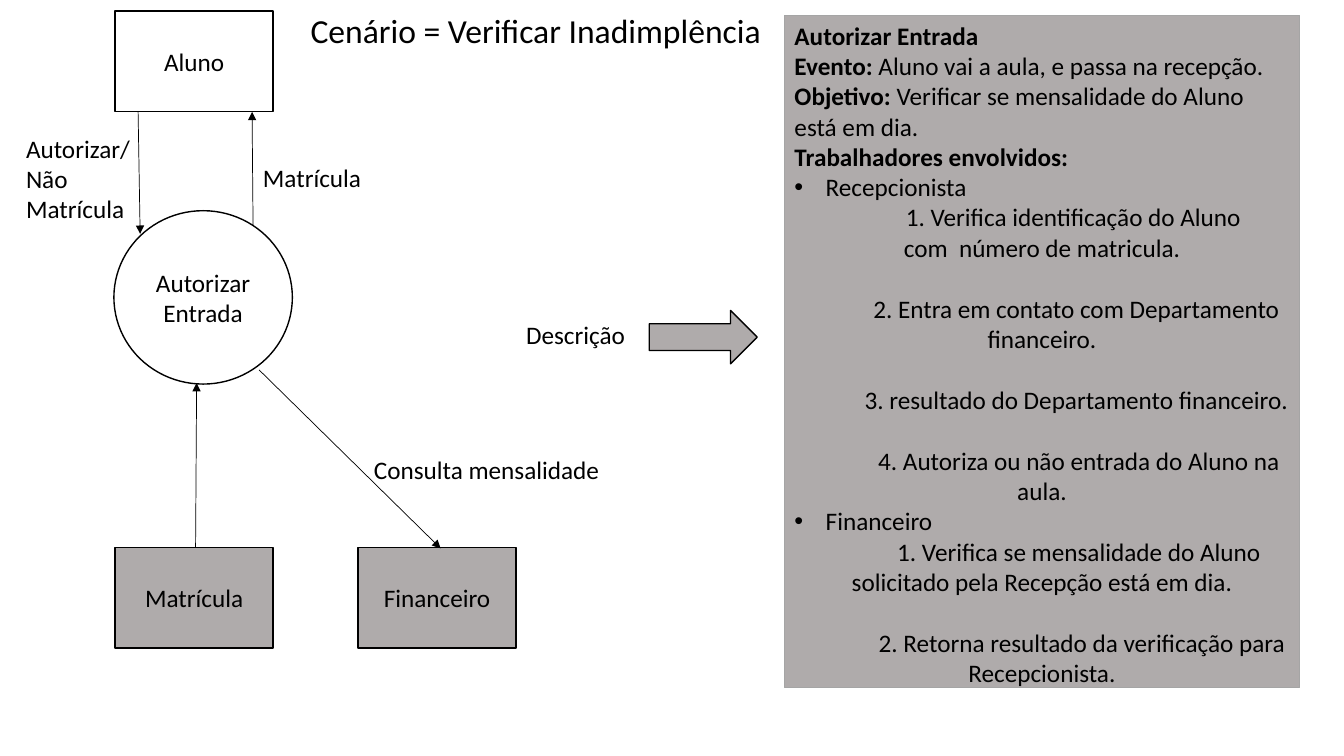
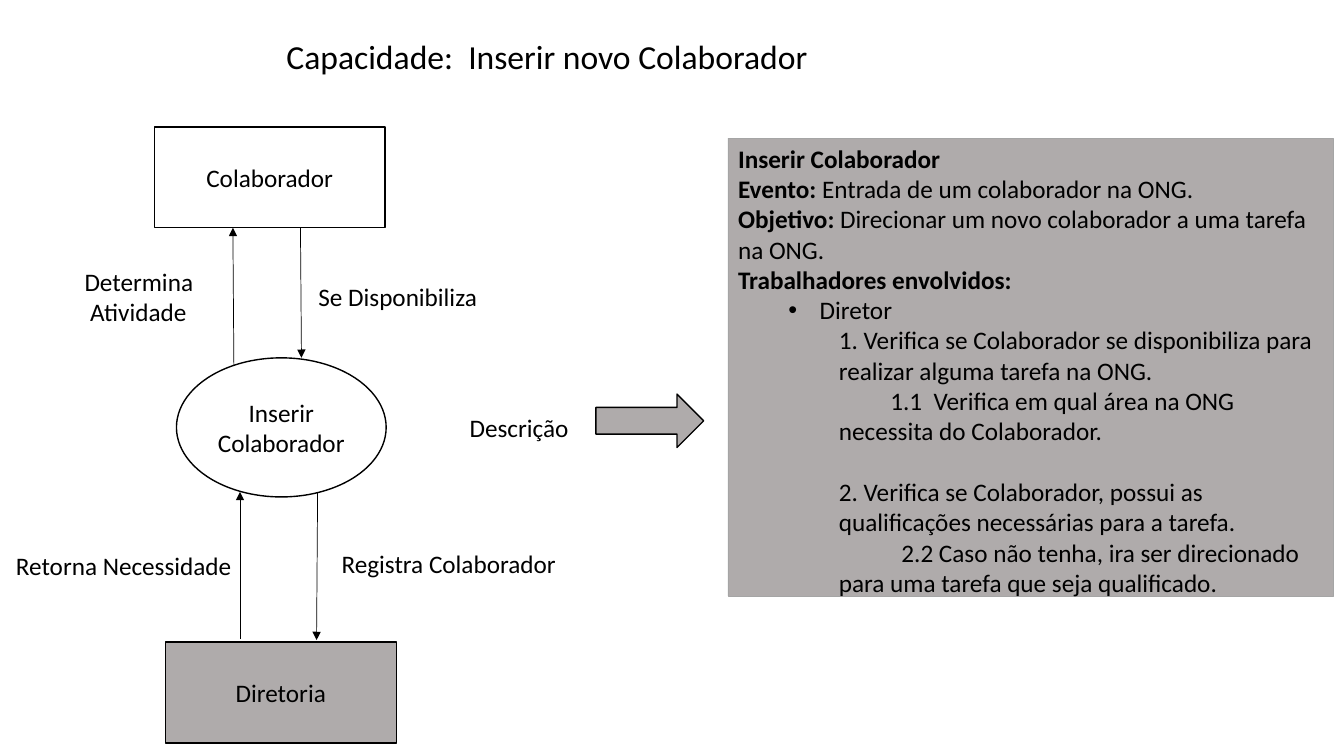
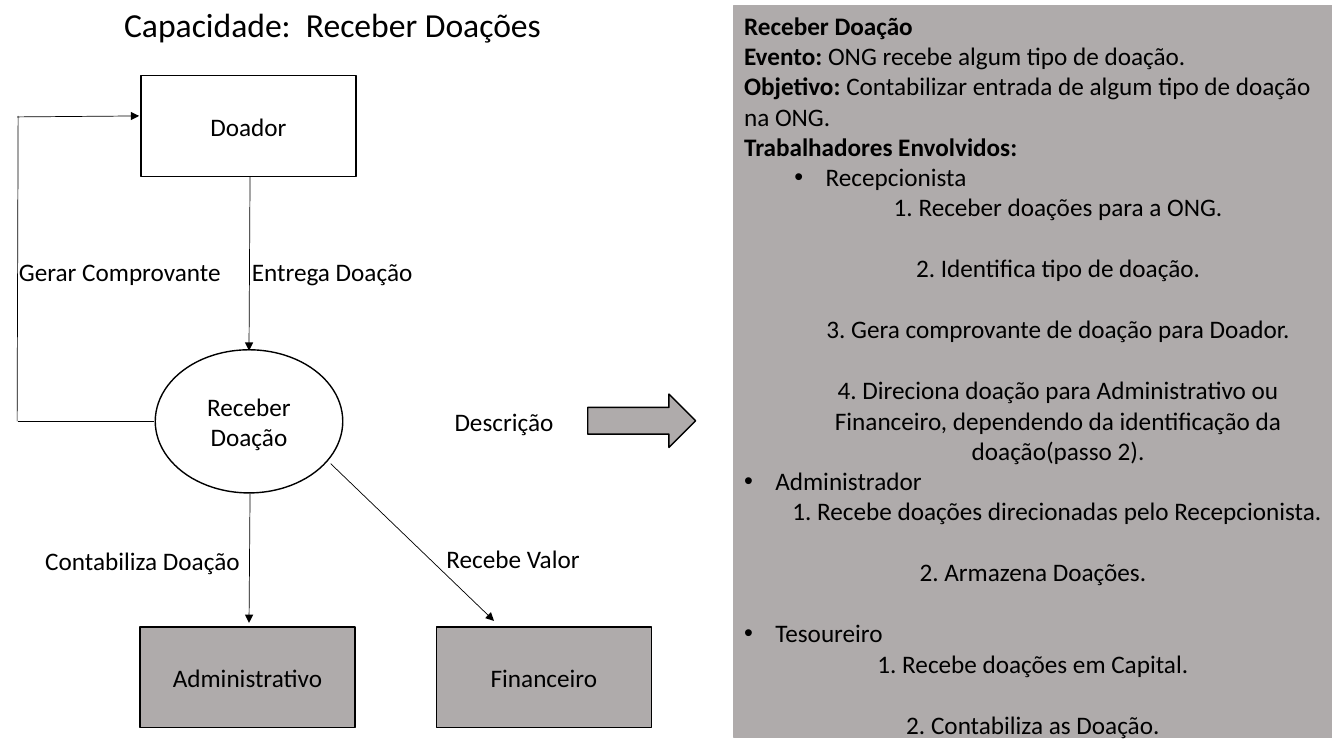
"""Build three process slides: a flow diagram beside its description panel."""
from lxml import etree
from pptx import Presentation
from pptx.dml.color import RGBColor
from pptx.enum.shapes import MSO_CONNECTOR, MSO_SHAPE
from pptx.enum.text import MSO_ANCHOR, MSO_AUTO_SIZE, PP_ALIGN
from pptx.oxml.ns import qn
from pptx.util import Inches, Pt

BLACK = RGBColor(0x00, 0x00, 0x00)
WHITE = RGBColor(0xFF, 0xFF, 0xFF)
GREY = RGBColor(0xAF, 0xAB, 0xAB)
EDGE_GREY = RGBColor(0xA5, 0xA5, 0xA5)
RECT, OVAL, BLOCK_ARROW = MSO_SHAPE.RECTANGLE, MSO_SHAPE.OVAL, MSO_SHAPE.RIGHT_ARROW
STRAIGHT = MSO_CONNECTOR.STRAIGHT
LEFT, CENTER, RIGHT = PP_ALIGN.LEFT, PP_ALIGN.CENTER, PP_ALIGN.RIGHT
TOP, MIDDLE = MSO_ANCHOR.TOP, MSO_ANCHOR.MIDDLE
GROW, FIXED = MSO_AUTO_SIZE.SHAPE_TO_FIT_TEXT, MSO_AUTO_SIZE.NONE

FLOWING = {"word_wrap": True, "auto_size": GROW, "vertical_anchor": TOP}
CENTRED = {"word_wrap": True, "auto_size": FIXED, "vertical_anchor": MIDDLE}
BODY_FONT = {"name": "Calibri", "size": Pt(18)}
TITLE_FONT = {"name": "Calibri", "size": Pt(24)}
BLANK_LINE = Pt(22)

HEAD = {"level": 0, "left": 0, "align": LEFT}
ROLE = {"level": 0, "left": 0.31, "align": LEFT}
SUBROLE = {"level": 1, "left": 0.81, "align": LEFT}
STEP = {"level": 0, "left": 0, "align": CENTER}
SUBSTEP = {"level": 1, "left": 0.5, "align": CENTER}
RIGHT_STEP = {"level": 0, "left": 0, "align": RIGHT}
DEEP_STEP = {"level": 2, "left": 1, "align": LEFT}

SCENARIOS = [
    {
        "title": ("Cenário = Verificar Inadimplência", 2.98, 0.05, 4.71),
        "nodes": [
            (RECT, WHITE, 1.14, 0.11, 1.57, 1, ["Aluno"]),
            (RECT, GREY, 1.14, 5.43, 1.57, 1, ["Matrícula"]),
            (OVAL, WHITE, 1.13, 2.09, 1.77, 1.72, ["Autorizar", "Entrada"]),
            (RECT, GREY, 3.55, 5.43, 1.57, 1, ["Financeiro"]),
        ],
        "flows": [
            (2.51, 2.23, 2.5, 1.11, True),
            (1.94, 5.43, 1.95, 3.8, True),
            (2.57, 3.67, 4.37, 5.44, True),
            (1.37, 1.11, 1.39, 2.32, True),
        ],
        "labels": [
            (2.51, 1.56, 3, ["Matrícula"]),
            (0.16, 1.27, 1.3, ["Autorizar/Não", "Matrícula"]),
            (3.61, 4.46, 3, ["Consulta mensalidade"]),
            (5.12, 3.12, 3, ["Descrição"]),
        ],
        "pointer": (6.44, 3.08),
        "panel": (7.78, 0.15, 5.11, 6.77),
        "edge": (EDGE_GREY, 0.5),
        "facts": [
            ("Autorizar Entrada", ""),
            ("Evento: ", "Aluno vai a aula, e passa na recepção."),
            ("Objetivo: ", "Verificar se mensalidade do Aluno está em dia."),
            ("Trabalhadores envolvidos:", ""),
        ],
        "duties": [
            (ROLE, -0.31, 0, "Recepcionista"),
            (STEP, 0.62, 0, "1. Verifica identificação do Aluno com\u00a0\u00a0número de matricula."),
            (STEP, 0.68, 1, "2. Entra em contato com Departamento financeiro."),
            (STEP, 0.68, 1, "3. resultado do Departamento financeiro."),
            (STEP, 0.73, 1, "4. Autoriza ou não entrada do Aluno na aula."),
            (ROLE, -0.31, 0, "Financeiro"),
            (STEP, 0.73, 0, "1. Verifica se mensalidade do Aluno solicitado pela "
                            "Recepção\u00a0está em dia."),
            (STEP, 0.79, 1, "2. Retorna resultado da verificação para Recepcionista."),
        ],
    },
    {
        "title": ("Capacidade:\u00a0 Inserir novo Colaborador", 2.74, 0.31, 5.43),
        "nodes": [
            (RECT, WHITE, 1.53, 1.26, 2.29, 1, ["Colaborador"]),
            (OVAL, WHITE, 1.75, 3.55, 2.08, 1.38, ["Inserir", "Colaborador"]),
            (RECT, GREY, 1.64, 6.37, 2.29, 1, ["Diretoria"]),
        ],
        "flows": [
            (2.98, 2.26, 2.99, 3.55, True),
            (3.15, 4.89, 3.14, 6.35, True),
            (2.38, 6.34, 2.38, 4.88, True),
            (2.32, 3.63, 2.31, 2.26, True),
        ],
        "labels": [
            (3.29, 5.39, 3, ["Registra Colaborador"]),
            (0.06, 5.41, 3, ["Retorna Necessidade"]),
            (3.06, 2.74, 3, ["Se Disponibiliza"]),
            (0.74, 2.59, 3, ["Determina", "\u00a0Atividade"]),
            (4.56, 4.04, 3, ["Descrição"]),
        ],
        "pointer": (5.91, 3.91),
        "panel": (7.22, 1.37, 6, 4.64),
        "edge": (EDGE_GREY, 0.5),
        "facts": [
            ("Inserir Colaborador", ""),
            ("Evento:", "\u00a0Entrada de um colaborador na ONG."),
            ("Objetivo: ", "Direcionar um\u00a0novo colaborador a uma tarefa na ONG."),
            ("Trabalhadores envolvidos:", ""),
        ],
        "duties": [
            (SUBROLE, -0.31, 0, "Diretor"),
            (DEEP_STEP, 0, 0, "1. Verifica se Colaborador se disponibiliza para realizar "
                              "alguma tarefa na ONG."),
            (DEEP_STEP, 0.51, 0, "1.1\u00a0 Verifica em qual área na ONG "
                                 "necessita\u00a0do Colaborador."),
            (DEEP_STEP, 0, 1, "2. Verifica se Colaborador, possui as qualificações "
                              "necessárias para a tarefa."),
            (DEEP_STEP, 0.62, 0, "2.2 Caso não tenha, ira ser direcionado para uma tarefa "
                                 "que seja qualificado."),
        ],
    },
    {
        "title": ("Capacidade:\u00a0 Receber Doações", 1.13, -0.01, 5.43),
        "nodes": [
            (RECT, WHITE, 1.4, 0.75, 2.13, 1, ["Doador"]),
            (RECT, GREY, 1.39, 6.22, 2.13, 1, ["Administrativo"]),
            (OVAL, WHITE, 1.54, 3.47, 1.86, 1.42, ["Receber", "Doação"]),
            (RECT, GREY, 4.33, 6.22, 2.13, 1, ["Financeiro"]),
        ],
        "flows": [
            (2.48, 1.75, 2.47, 3.48, True),
            (2.48, 4.9, 2.47, 6.18, True),
            (0.17, 1.16, 1.38, 1.15, True),
            (0.18, 1.15, 0.17, 4.18, False),
            (0.18, 4.18, 1.53, 4.18, False),
            (3.28, 4.6, 4.9, 6.16, True),
        ],
        "labels": [
            (0.35, 5.36, 3, ["Contabiliza Doação"]),
            (2.4, 2.49, 3, ["Entrega Doação"]),
            (0.09, 2.49, 3, ["Gerar Comprovante"]),
            (4.33, 5.34, 3, ["Recebe Valor"]),
            (4.41, 3.98, 3, ["Descrição"]),
        ],
        "pointer": (5.83, 3.91),
        "panel": (7.28, 0.05, 5.93, 7.37),
        "edge": (GREY, 0.75),
        "facts": [
            ("Receber Doação", ""),
            ("Evento: ", "ONG recebe algum tipo de doação."),
            ("Objetivo: ", "Contabilizar entrada de algum tipo de doação na ONG."),
            ("Trabalhadores Envolvidos:", ""),
        ],
        "duties": [
            (SUBROLE, -0.31, 0, "Recepcionista"),
            (SUBSTEP, 0, 0, "1. Receber doações para a ONG."),
            (SUBSTEP, 0, 1, "2. Identifica tipo de doação."),
            (SUBSTEP, 0, 1, "3. Gera comprovante de doação para Doador."),
            (SUBSTEP, 0, 1, "4. Direciona doação para Administrativo ou Financeiro, "
                            "dependendo da identificação da doação(passo 2)."),
            (ROLE, -0.31, 0, "Administrador"),
            (RIGHT_STEP, 0, 0, "1. Recebe doações direcionadas pelo Recepcionista."),
            (STEP, 0, 1, "2. Armazena Doações."),
            (ROLE, -0.31, 1, "Tesoureiro"),
            (STEP, 0, 0, "1. Recebe doações em Capital."),
            (STEP, 0, 1, "2. Contabiliza as Doação."),
        ],
    },
]


def write_lines(frame, lines, layout, font, align):
    """Fill a text frame with lines of (bold, plain) text and return its paragraphs."""
    for name, value in layout.items():
        setattr(frame, name, value)
    for index, line in enumerate(lines):
        paragraph = frame.add_paragraph() if index else frame.paragraphs[0]
        paragraph.alignment = align
        for bold, text in zip((True, False), line):
            if text:
                run = paragraph.add_run()
                run.text = text
                for name, value in {**font, "bold": bold}.items():
                    setattr(run.font, name, value)
                run.font.color.rgb = BLACK
    return frame.paragraphs


def paint(shape, fill, edge, width):
    """Give a shape a solid fill and a plain outline."""
    shape.fill.solid()
    shape.fill.fore_color.rgb = fill
    shape.line.color.rgb = edge
    shape.line.width = Pt(width)
    shape.shadow.inherit = False


deck = Presentation()
deck.slide_width, deck.slide_height = Inches(13.33), Inches(7.5)

for scenario in SCENARIOS:
    slide = deck.slides.add_slide(deck.slide_layouts[1])
    title, panel = slide.placeholders

    heading, x, y, width = scenario["title"]
    for place, box in ((title, (x, y, width, 0.5)), (panel, scenario["panel"])):
        place.left, place.top, place.width, place.height = map(Inches, box)
    write_lines(title.text_frame, [("", heading)], FLOWING, TITLE_FONT, LEFT)

    paint(panel, GREY, *scenario["edge"])
    duties = [(HEAD, 0, 0, "")] * len(scenario["facts"]) + scenario["duties"]
    lines = scenario["facts"] + [("", duty[-1]) for duty in scenario["duties"]]
    paragraphs = write_lines(panel.text_frame, lines, FLOWING, BODY_FONT, LEFT)
    for paragraph, (style, first_line, gap, _) in zip(paragraphs, duties):
        paragraph.level = style["level"]
        paragraph.alignment = style["align"]
        paragraph.space_before = BLANK_LINE if gap else Pt(0)
        properties = paragraph._p.get_or_add_pPr()
        properties.set("marL", str(Inches(style["left"])))
        properties.set("indent", str(Inches(first_line)))
        if first_line < 0:
            etree.SubElement(properties, qn("a:buFont")).set("typeface", "Arial")
            etree.SubElement(properties, qn("a:buChar")).set("char", "•")
        else:
            etree.SubElement(properties, qn("a:buNone"))

    for outline, fill, x, y, width, height, words in scenario["nodes"]:
        node = slide.shapes.add_shape(outline, *map(Inches, (x, y, width, height)))
        paint(node, fill, BLACK, 1)
        write_lines(node.text_frame, [("", word) for word in words], CENTRED, BODY_FONT, CENTER)

    for x1, y1, x2, y2, has_head in scenario["flows"]:
        flow = slide.shapes.add_connector(STRAIGHT, *map(Inches, (x1, y1, x2, y2)))
        flow.line.color.rgb = BLACK
        flow.line.width = Pt(0.5)
        if has_head:
            etree.SubElement(flow.line._get_or_add_ln(), qn("a:tailEnd")).set("type", "triangle")
        etree.SubElement(flow._element.spPr, qn("a:effectLst"))

    for x, y, width, words in scenario["labels"]:
        height = 0.4 if len(words) == 1 else 0.71
        label = slide.shapes.add_textbox(*map(Inches, (x, y, width, height)))
        write_lines(label.text_frame, [("", word) for word in words], FLOWING, BODY_FONT, LEFT)

    pointer = slide.shapes.add_shape(BLOCK_ARROW, *map(Inches, (*scenario["pointer"], 1.07, 0.53)))
    paint(pointer, GREY, BLACK, 1)

deck.save("out.pptx")
